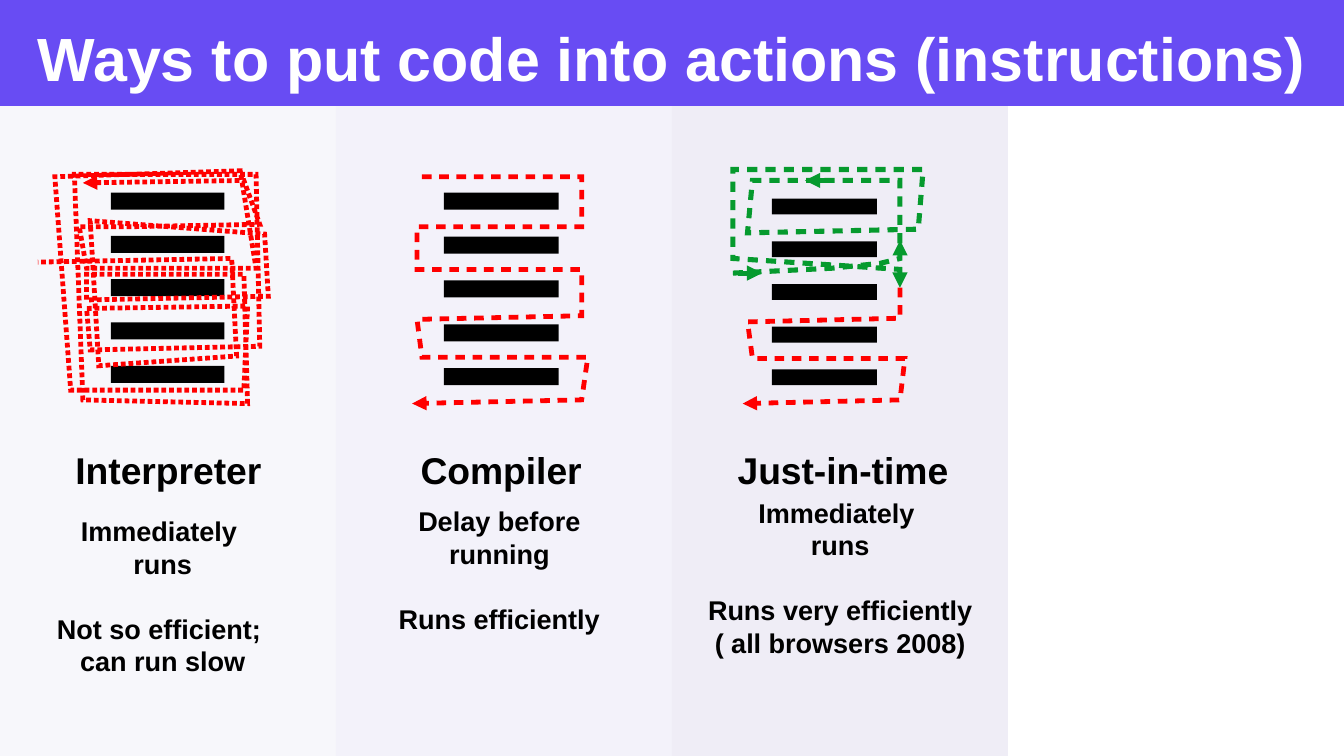
import pptx
import pptx.util
from lxml import etree
from pptx.dml.color import RGBColor
from pptx.enum.shapes import MSO_CONNECTOR, MSO_SHAPE
from pptx.enum.text import PP_ALIGN
from pptx.oxml.ns import qn
from pptx.util import Inches, Pt

FONT = "Arial"
BLACK, WHITE, RED, GREEN, PURPLE = "000000", "FFFFFF", "FF0000", "069A2E", "684CF3"
SLIDE_WIDTH, SLIDE_HEIGHT = 11.02, 6.2
BANNER_HEIGHT = 0.87
PANEL_WIDTH = 2.755
HEADING_TOP, HEADING_HEIGHT = 3.62, 0.44
BAR_COUNT = 5
TITLE = "Ways to put code into actions (instructions)"

# Dash and gap lengths as percentages of the line width
DOTTED, DASHED = (100, 60), (200, 160)

# Bars: left, top, width, height, pitch. Notes: box, then groups of lines.
COLUMNS = [
    {"fill": "F7F7FB", "bars": (0.91, 1.58, 0.93, 0.14, 0.355),
     "heading": ("Interpreter", 0.52, 1.8),
     "box": (0.35, 4.17, 1.97, 1.65),
     "notes": [["Immediately ", "runs"], ["Not so efficient; ", "can run slow"]]},
    {"fill": "F3F2FA", "bars": (3.64, 1.58, 0.94, 0.14, 0.36),
     "heading": ("Compiler", 3.35, 1.72),
     "box": (3.03, 4.09, 2.13, 1.65),
     "notes": [["Delay before running"], ["Runs efficiently"]]},
    {"fill": "EFEDF6", "bars": (6.33, 1.63, 0.86, 0.13, 0.35),
     "heading": ("Just-in-time", 5.95, 1.96),
     "box": (5.51, 4.02, 2.76, 1.96),
     "notes": [["Immediately ", "runs"],
               ["Runs very efficiently", "( all browsers 2008)"]]},
]

INTERPRETER_ROUTE = [
    (0.68, 1.5), (2, 1.48), (2.13, 1.84), (1.04, 1.86), (0.65, 1.86), (0.71, 2.2),
    (2.1, 2.2), (1.97, 1.4), (0.45, 1.45), (0.58, 3.2), (2, 3.2), (2.03, 2.51),
    (0.71, 2.53), (0.74, 2.87), (2.13, 2.84), (2.1, 1.43), (0.61, 1.43),
    (0.68, 3.28), (2.03, 3.31), (2, 2.25), (0.71, 2.25), (0.71, 2.46),
    (2.2, 2.43), (2.17, 1.92), (0.74, 1.81), (0.81, 3), (1.94, 2.92),
    (1.9, 2.12), (0.31, 2.15)]
COMPILER_ROUTE = [
    (3.46, 1.45), (4.77, 1.45), (4.77, 1.86), (3.42, 1.86), (3.42, 2.21),
    (4.77, 2.21), (4.77, 2.59), (3.42, 2.62), (3.46, 2.93), (4.82, 2.93),
    (4.77, 3.28), (3.38, 3.31)]
JIT_FINAL_ROUTE = [
    (7.38, 2.36), (7.38, 2.61), (6.13, 2.64), (6.17, 2.94), (7.42, 2.94),
    (7.38, 3.28), (6.09, 3.31)]
JIT_LOOP_ROUTE = [
    (6.01, 2.24), (6.82, 2.2), (7.22, 2.16), (7.38, 2.12), (7.38, 1.48),
    (6.17, 1.48), (6.13, 1.91), (7.53, 1.88), (7.57, 1.39), (6.01, 1.39),
    (6.01, 2.12), (7.38, 2.21), (7.38, 2.36)]

# Points, colour, width, dash, end that carries the arrowhead
ROUTES = [
    (INTERPRETER_ROUTE, RED, 2.83, DOTTED, "headEnd"),
    (COMPILER_ROUTE, RED, 2.83, DASHED, "tailEnd"),
    (JIT_FINAL_ROUTE, RED, 2.83, DASHED, "tailEnd"),
    (JIT_LOOP_ROUTE, GREEN, 3, DASHED, "tailEnd"),
]
LOOP_ARROWS = [
    ((6.83, 1.48), (6.6, 1.48)),
    ((6.05, 2.24), (6.25, 2.24)),
    ((7.38, 2.09), (7.38, 1.97)),
]


def color(value):
    return RGBColor.from_string(value)


def add_bar(page, left, top, width, height, fill):
    bar = page.shapes.add_shape(MSO_SHAPE.RECTANGLE, Inches(left), Inches(top),
                                Inches(width), Inches(height))
    bar.shadow.inherit = False
    bar.fill.solid()
    bar.fill.fore_color.rgb = color(fill)
    bar.line.fill.background()


def style_line(line, stroke, width, arrow_end, dash=None):
    """Set the stroke, an optional custom dash and one arrowhead."""
    line.color.rgb = color(stroke)
    line.width = Pt(width)
    element = line._get_or_add_ln()
    if dash:
        pattern = etree.SubElement(element, qn("a:custDash"))
        length, gap = dash
        etree.SubElement(pattern, qn("a:ds"), d=str(length * 1000), sp=str(gap * 1000))
    etree.SubElement(element, qn("a:miter"), lim="800000")
    etree.SubElement(element, qn("a:" + arrow_end), type="triangle")


def add_route(page, points, stroke, width, dash, arrow_end):
    corners = [(Inches(x), Inches(y)) for x, y in points]
    builder = page.shapes.build_freeform(*corners[0], scale=1.0)
    builder.add_line_segments(corners[1:], close=False)
    route = builder.convert_to_shape()
    route.shadow.inherit = False
    route.fill.background()
    style_line(route.line, stroke, width, arrow_end, dash)


def add_arrow(page, start, end):
    arrow = page.shapes.add_connector(
        MSO_CONNECTOR.STRAIGHT, *(Inches(value) for value in start + end))
    style_line(arrow.line, GREEN, 3, "tailEnd")
    etree.SubElement(arrow._element.spPr, qn("a:effectLst"))


def add_text(page, box, groups, size, ink=BLACK, align=PP_ALIGN.CENTER):
    """Write groups of lines, one paragraph a line, with a line's gap between groups."""
    frame = page.shapes.add_textbox(*(Inches(value) for value in box)).text_frame
    frame.word_wrap = True
    para = None
    for group in groups:
        for index, text in enumerate(group):
            later_group = para is not None and index == 0
            para = frame.paragraphs[0] if para is None else frame.add_paragraph()
            para.text = text
            para.alignment = align
            if later_group:
                para.space_before = Pt(size * 1.2)
            para.font.name = FONT
            para.font.size = Pt(size)
            para.font.bold = True
            para.font.color.rgb = color(ink)


def main():
    deck = pptx.Presentation()
    deck.slide_width, deck.slide_height = Inches(SLIDE_WIDTH), Inches(SLIDE_HEIGHT)
    page = deck.slides.add_slide(deck.slide_layouts[6])

    for index, column in enumerate(COLUMNS):
        add_bar(page, index * PANEL_WIDTH, BANNER_HEIGHT, PANEL_WIDTH,
                SLIDE_HEIGHT - BANNER_HEIGHT, column["fill"])
        left, top, width, height, pitch = column["bars"]
        for row in range(BAR_COUNT):
            add_bar(page, left, top + row * pitch, width, height, BLACK)
        heading, left, width = column["heading"]
        add_text(page, (left, HEADING_TOP, width, HEADING_HEIGHT), [[heading]], 22,
                 align=PP_ALIGN.LEFT)
        add_text(page, column["box"], column["notes"], 16)

    for route in ROUTES:
        add_route(page, *route)
    for start, end in LOOP_ARROWS:
        add_arrow(page, start, end)

    add_bar(page, 0, 0, SLIDE_WIDTH, BANNER_HEIGHT, PURPLE)
    add_text(page, (0, 0.12, SLIDE_WIDTH, 0.75), [[TITLE]], 36, WHITE)
    deck.save("out.pptx")


if __name__ == "__main__":
    main()
